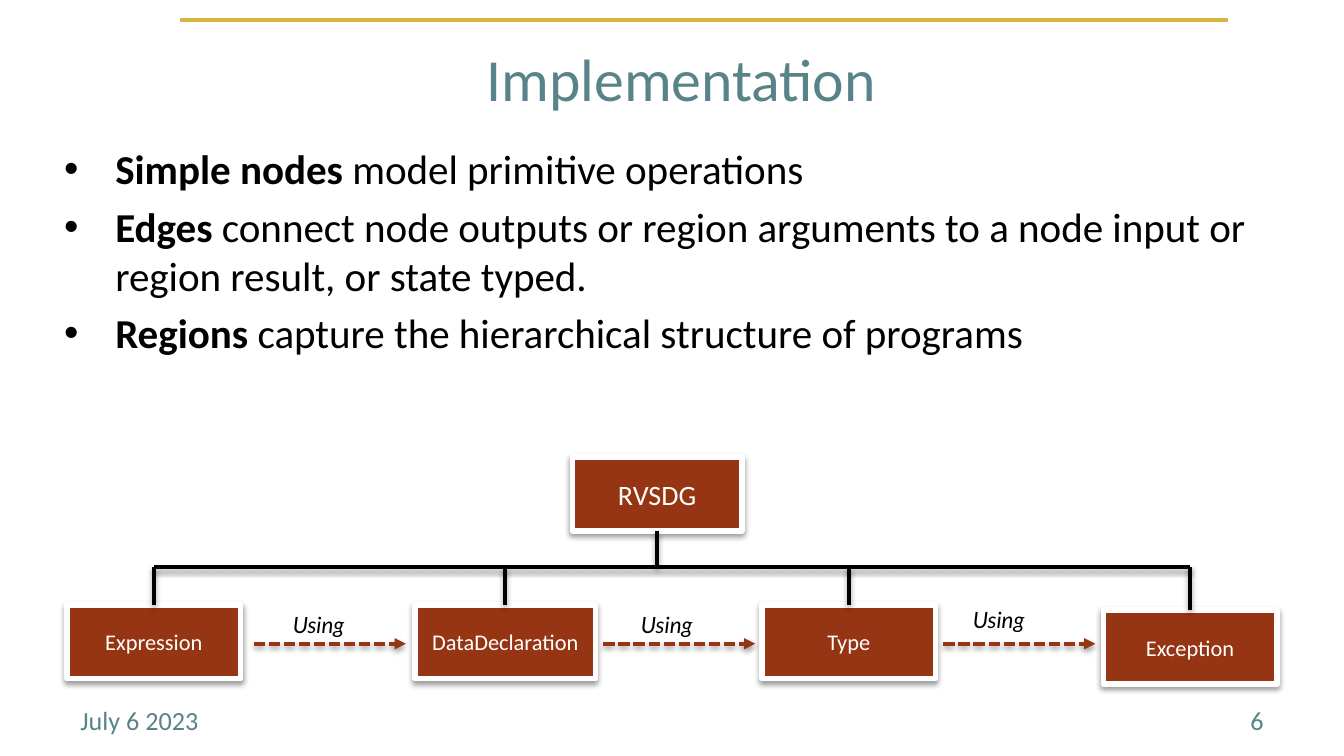
from dataclasses import dataclass
from typing import Optional

from lxml.etree import SubElement
from pptx import Presentation
from pptx.dml.color import RGBColor
from pptx.enum.dml import MSO_LINE_DASH_STYLE as Dash
from pptx.enum.shapes import MSO_CONNECTOR as Connector, MSO_SHAPE as Shape
from pptx.enum.text import MSO_ANCHOR as Anchor, PP_ALIGN as Align
from pptx.oxml.ns import qn
from pptx.util import Inches, Pt

RUST = RGBColor(0x96, 0x35, 0x13)
TEAL = RGBColor(0x58, 0x83, 0x89)
GOLD = RGBColor(0xD9, 0xB5, 0x41)
BLACK = RGBColor(0, 0, 0)
WHITE = RGBColor(0xFF, 0xFF, 0xFF)

# Square grid: 100 columns by 56.25 rows
COLUMNS, ROWS = 100, 56.25
BOX_HEIGHT = 5.5
BUS_ROW = 42.2
ARROW_ROW = 47.9
ARROW_LENGTH = 11.3


@dataclass(frozen=True)
class Area:
    col: float
    row: float
    width: float
    height: float

    @property
    def center(self) -> float:
        return self.col + self.width / 2


@dataclass(frozen=True)
class Node:
    name: str
    area: Area
    size: int = 12


@dataclass(frozen=True)
class Use:
    arrow_col: float
    label_col: float
    label_row: float


ROOT = Node("RVSDG", Area(42.6, 34, 12.6, BOX_HEIGHT), 15)
CHILDREN = [
    Node("Expression", Area(5, 45, 12.9, BOX_HEIGHT)),
    Node("DataDeclaration", Area(30.9, 45, 13.4, BOX_HEIGHT)),
    Node("Type", Area(56.7, 45, 12.9, BOX_HEIGHT)),
    Node("Exception", Area(82.1, 45.4, 12.9, BOX_HEIGHT)),
]
USES = [Use(18.9, 20.8, 45), Use(44.9, 46.7, 45), Use(70.2, 71.4, 44.6)]
POINTS = [
    ("Simple nodes", " model primitive operations"),
    ("Edges", " connect node outputs or region arguments to a node input "
              "or region result, or state typed."),
    ("Regions", " capture the hierarchical structure of programs"),
]


def cells(count: float) -> int:
    return Inches(count / 10)


def add_span(para, text: str, *, size: float, color: RGBColor, font: str = "Calibri",
             bold: bool = False, italic: bool = False) -> None:
    span = para.add_run()
    span.text = text
    span.font.name, span.font.size = font, Pt(size)
    span.font.bold, span.font.italic = bold, italic
    span.font.color.rgb = color


def place(item, area: Area) -> None:
    item.left, item.top = cells(area.col), cells(area.row)
    item.width, item.height = cells(area.width), cells(area.height)


def add_text_box(page, area: Area, anchor=Anchor.TOP):
    box = page.shapes.add_textbox(0, 0, 0, 0)
    place(box, area)
    box.text_frame.word_wrap = True
    box.text_frame.vertical_anchor = anchor
    return box.text_frame


def add_label(page, text: str, area: Area, *, align=Align.LEFT,
              anchor=Anchor.TOP, **style) -> None:
    para = add_text_box(page, area, anchor).paragraphs[0]
    para.alignment = align
    add_span(para, text, **style)


def add_shadow(effects) -> None:
    shadow = SubElement(effects, qn("a:outerShdw"), blurRad=str(Pt(3.1)),
                        dist=str(Pt(1.6)), dir="5400000", rotWithShape="0")
    color = SubElement(shadow, qn("a:srgbClr"), val="000000")
    SubElement(color, qn("a:alpha"), val="38000")


def add_node(page, node: Node):
    box = page.shapes.add_shape(Shape.RECTANGLE, 0, 0, 0, 0)
    place(box, node.area)
    box.fill.solid()
    box.fill.fore_color.rgb = RUST
    box.line.color.rgb = WHITE
    box.line.width = Pt(3)
    box.shadow.inherit = False
    add_shadow(box.element.spPr.find(qn("a:effectLst")))
    box.text_frame.word_wrap = True
    box.text_frame.vertical_anchor = Anchor.MIDDLE
    para = box.text_frame.paragraphs[0]
    para.alignment = Align.CENTER
    add_span(para, node.name, size=node.size, color=WHITE)
    return box


def add_line(page, start: tuple[float, float], end: tuple[float, float],
             color: RGBColor = BLACK, *, dash: Optional[Dash] = None,
             arrow: bool = False, shadow: bool = True):
    line = page.shapes.add_connector(
        Connector.STRAIGHT, *map(cells, start), *map(cells, end))
    line.line.color.rgb = color
    line.line.width = Pt(2)
    if dash is not None:
        line.line.dash_style = dash
    properties = line._element.spPr
    if arrow:
        SubElement(properties.find(qn("a:ln")), qn("a:tailEnd"), type="triangle")
    effects = SubElement(properties, qn("a:effectLst"))
    if shadow:
        add_shadow(effects)
    return line


def add_points(page) -> None:
    frame = add_text_box(page, Area(3.8, 10.2, 90, 29.9))
    for index, (term, meaning) in enumerate(POINTS):
        para = frame.add_paragraph() if index else frame.paragraphs[0]
        para.space_before = Pt(4.4)
        layout = para._p.get_or_add_pPr()
        layout.set("marL", str(Inches(0.38)))
        layout.set("indent", str(-Inches(0.38)))
        SubElement(layout, qn("a:buFont"), typeface="Arial")
        SubElement(layout, qn("a:buChar"), char="•")
        add_span(para, term, size=22, color=BLACK, bold=True)
        add_span(para, meaning, size=22, color=BLACK)


def add_hierarchy(page) -> None:
    # Root, bus and children
    root_box = add_node(page, ROOT)
    add_line(page, (CHILDREN[0].area.center, BUS_ROW), (CHILDREN[-1].area.center, BUS_ROW))
    middle = ROOT.area.center
    stem = add_line(page, (middle, ROOT.area.row + BOX_HEIGHT), (middle, BUS_ROW))
    stem.begin_connect(root_box, 2)
    for child in CHILDREN:
        box = add_node(page, child)
        middle = child.area.center
        branch = add_line(page, (middle, BUS_ROW), (middle, child.area.row))
        branch.end_connect(box, 0)
    # Dashed arrows between the children
    for use in USES:
        add_line(page, (use.arrow_col, ARROW_ROW),
                 (use.arrow_col + ARROW_LENGTH, ARROW_ROW),
                 RUST, dash=Dash.SQUARE_DOT, arrow=True)
        add_label(page, "Using", Area(use.label_col, use.label_row, 14.2, 3),
                  size=12, color=BLACK, font="Lato", italic=True)


def main() -> None:
    deck = Presentation()
    deck.slide_width, deck.slide_height = cells(COLUMNS), cells(ROWS)
    page = deck.slides.add_slide(deck.slide_layouts[5])

    # Top rule and title
    add_line(page, (13.4, 1.5), (91.4, 1.5), GOLD, shadow=False)
    title = page.shapes.title
    place(title, Area(5.7, 1.1, 90, 9.4))
    title.text_frame.vertical_anchor = Anchor.MIDDLE
    para = title.text_frame.paragraphs[0]
    para.alignment = Align.CENTER
    add_span(para, "Implementation", size=32, color=TEAL)

    add_points(page)
    add_hierarchy(page)

    # Footer
    for text, col, align in (("July 6 2023", 5, Align.LEFT), ("6", 71.7, Align.RIGHT)):
        add_label(page, text, Area(col, 52.1, 23.3, 3), align=align,
                  anchor=Anchor.MIDDLE, size=14, color=TEAL)

    deck.save("out.pptx")


if __name__ == "__main__":
    main()
